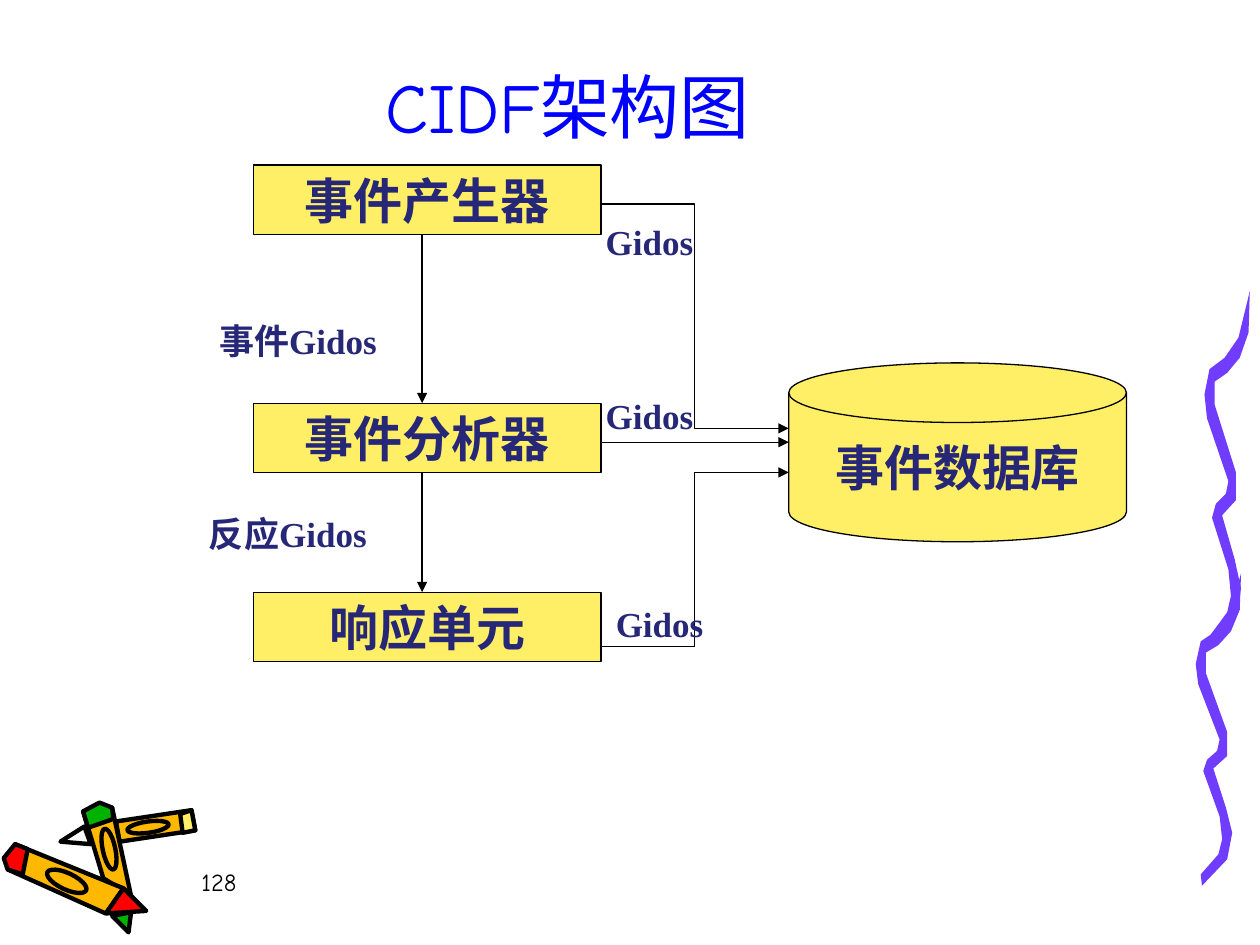
from lxml import etree
from pptx import Presentation
from pptx.dml.color import RGBColor
from pptx.enum.shapes import MSO_CONNECTOR, MSO_SHAPE
from pptx.enum.text import MSO_ANCHOR, MSO_AUTO_SIZE, PP_ALIGN
from pptx.oxml.ns import qn
from pptx.util import Pt

PX = 9144  # 100 px to the inch
STRAIGHT, ELBOW = MSO_CONNECTOR.STRAIGHT, MSO_CONNECTOR.ELBOW
RECTANGLE, DISK = MSO_SHAPE.RECTANGLE, MSO_SHAPE.FLOWCHART_MAGNETIC_DISK
OVAL = MSO_SHAPE.OVAL
TOP, MIDDLE, BOTTOM = MSO_ANCHOR.TOP, MSO_ANCHOR.MIDDLE, MSO_ANCHOR.BOTTOM
LEFT, CENTER = PP_ALIGN.LEFT, PP_ALIGN.CENTER
NO_AUTOFIT = MSO_AUTO_SIZE.NONE
TITLE_ONLY = 5

COLORS = {
    "white": "F8F8F8", "black": "000000", "red": "FF0000", "green": "00B200",
    "orange": "FFB800", "yellow": "FFEF66", "purple": "703DFF",
    "blue": "0000FF", "navy": "272777",
}


def paint(shape, fill, line_width=0.75):
    """Fill a shape, outline it in black (no outline at width 0), drop its shadow."""
    shape.shadow.inherit = False
    shape.fill.solid()
    shape.fill.fore_color.rgb = RGBColor.from_string(COLORS[fill])
    if line_width:
        shape.line.color.rgb = RGBColor.from_string(COLORS["black"])
        shape.line.width = Pt(line_width)
    else:
        shape.line.fill.background()


def write(shape, text, size, font="Times New Roman", ink="navy", bold=True,
          align=CENTER, anchor=TOP, wrap=True):
    frame = shape.text_frame
    frame.auto_size = NO_AUTOFIT
    frame.word_wrap = wrap
    frame.vertical_anchor = anchor
    paragraph = frame.paragraphs[0]
    paragraph.alignment = align
    run = paragraph.add_run()
    run.text = text
    run.font.name = font
    run.font.size = Pt(size)
    run.font.bold = bold
    run.font.color.rgb = RGBColor.from_string(COLORS[ink])


prs = Presentation()
prs.slide_width, prs.slide_height = 1000 * PX, 750 * PX
slide = prs.slides.add_slide(prs.slide_layouts[TITLE_ONLY])
shapes = slide.shapes

# Three crayons at the lower left
CRAYON_PARTS = [
    ("white", [(67, 656), (48, 668), (72, 670)]),
    ("orange", [(92, 652), (152, 643), (155, 659), (95, 668)]),
    ("yellow", [(143, 646), (152, 643), (155, 659), (145, 661)]),
    ("orange", [(66, 644), (89, 641), (104, 711), (82, 697)]),
    ("green", [(66, 644), (79, 637), (89, 641), (90, 650), (70, 657)]),
    ("orange", [(12, 670), (98, 705), (84, 725), (6, 690)]),
    ("red", [(12, 670), (22, 674), (18, 694), (6, 690), (3, 681)]),
    ("red", [(98, 705), (116, 723), (84, 725)]),
    ("green", [(89, 727), (104, 724), (102, 740)]),
]
for fill, points in CRAYON_PARTS:
    builder = shapes.build_freeform(*points[0], scale=PX)
    builder.add_line_segments(points[1:])
    paint(builder.convert_to_shape(), fill, 2.5)

CRAYON_MARKS = [(36, 693, 34, 13, 25), (70, 669, 33, 10, 78), (101, 652, 33, 9, -8)]
for left, top, width, height, angle in CRAYON_MARKS:
    mark = shapes.add_shape(OVAL, left * PX, top * PX, width * PX, height * PX)
    mark.rotation = angle
    paint(mark, "orange", 2.5)

# Wavy stroke at the right: one outline, drawn again higher up and taller
WAVE = [
    (4, 239), (18, 223), (21, 211), (19, 193), (6, 157), (9, 148), (17, 141),
    (19, 132), (2, 88), (0, 72), (4, 54), (16, 46), (27, 32), (36, 0), (35, 29),
    (28, 46), (18, 57), (8, 63), (8, 79), (25, 126), (25, 145), (14, 155),
    (24, 186), (29, 206), (25, 227), (5, 248),
]
for left, top, height in ((949, 455, 248), (956, 231, 284)):
    stretch = height / 248
    points = [(left + x, top + round(y * stretch)) for x, y in WAVE]
    builder = shapes.build_freeform(*points[0], scale=PX)
    builder.add_line_segments(points[1:])
    paint(builder.convert_to_shape(), "purple", 0)

# Title and page number
title = shapes.title
title.left, title.top, title.width, title.height = 75 * PX, 32 * PX, 751 * PX, 90 * PX
write(title, "CIDF架构图", 40, font="Comic Neue", ink="blue", bold=False, anchor=BOTTOM)
page_number = shapes.add_textbox(150 * PX, 683 * PX, 208 * PX, 50 * PX)
write(page_number, "128", 14, font="Comic Neue", ink="black", bold=False, align=LEFT)

# Components
COMPONENTS = [
    ("事件产生器", RECTANGLE, 201, 131, 276, 55),
    ("事件分析器", RECTANGLE, 201, 320, 276, 55),
    ("响应单元", RECTANGLE, 201, 470, 276, 55),
    ("事件数据库", DISK, 626, 288, 268, 142),
]
for name, outline, *box in COMPONENTS:
    component = shapes.add_shape(outline, *(length * PX for length in box))
    paint(component, "yellow")
    write(component, name, 28, anchor=MIDDLE, wrap=False)

# Flows between components
FLOWS = [
    (STRAIGHT, 335, 186, 335, 320),
    (STRAIGHT, 335, 375, 335, 470),
    (ELBOW, 476, 162, 626, 340),
    (ELBOW, 476, 513, 626, 375),
    (STRAIGHT, 476, 351, 626, 351),
]
for route, *ends in FLOWS:
    flow = shapes.add_connector(route, *(length * PX for length in ends))
    flow.line.color.rgb = RGBColor.from_string(COLORS["black"])
    flow.line.width = Pt(0.75)
    properties = flow._element.spPr
    etree.SubElement(properties.find(qn("a:ln")), qn("a:tailEnd"), type="triangle")
    etree.SubElement(properties, qn("a:effectLst"))

FLOW_LABELS = [
    ("事件Gidos", 146, 249, 181),
    ("反应Gidos", 138, 402, 181),
    ("Gidos", 468, 170, 95),
    ("Gidos", 468, 308, 95),
    ("Gidos", 476, 473, 95),
]
for message, left, top, width in FLOW_LABELS:
    label = shapes.add_textbox(left * PX, top * PX, width * PX, 44 * PX)
    write(label, message, 20)

prs.save("out.pptx")
